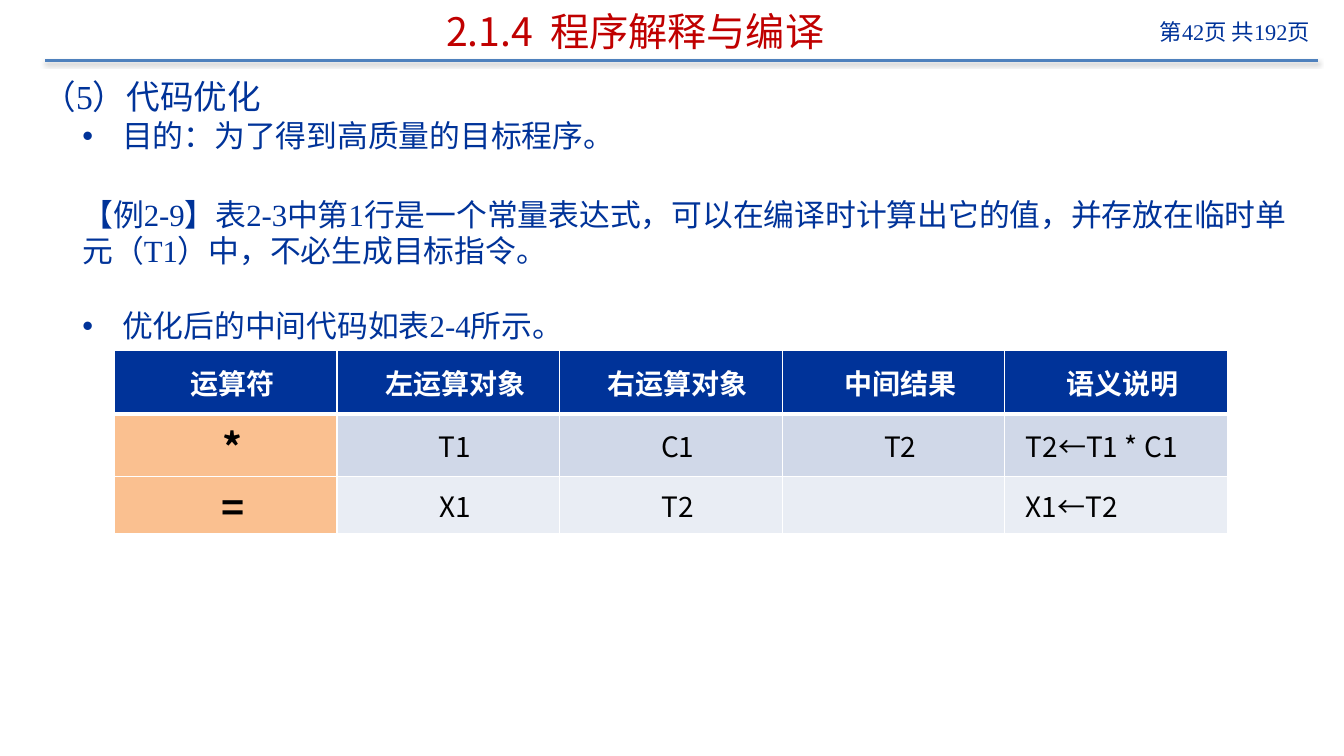
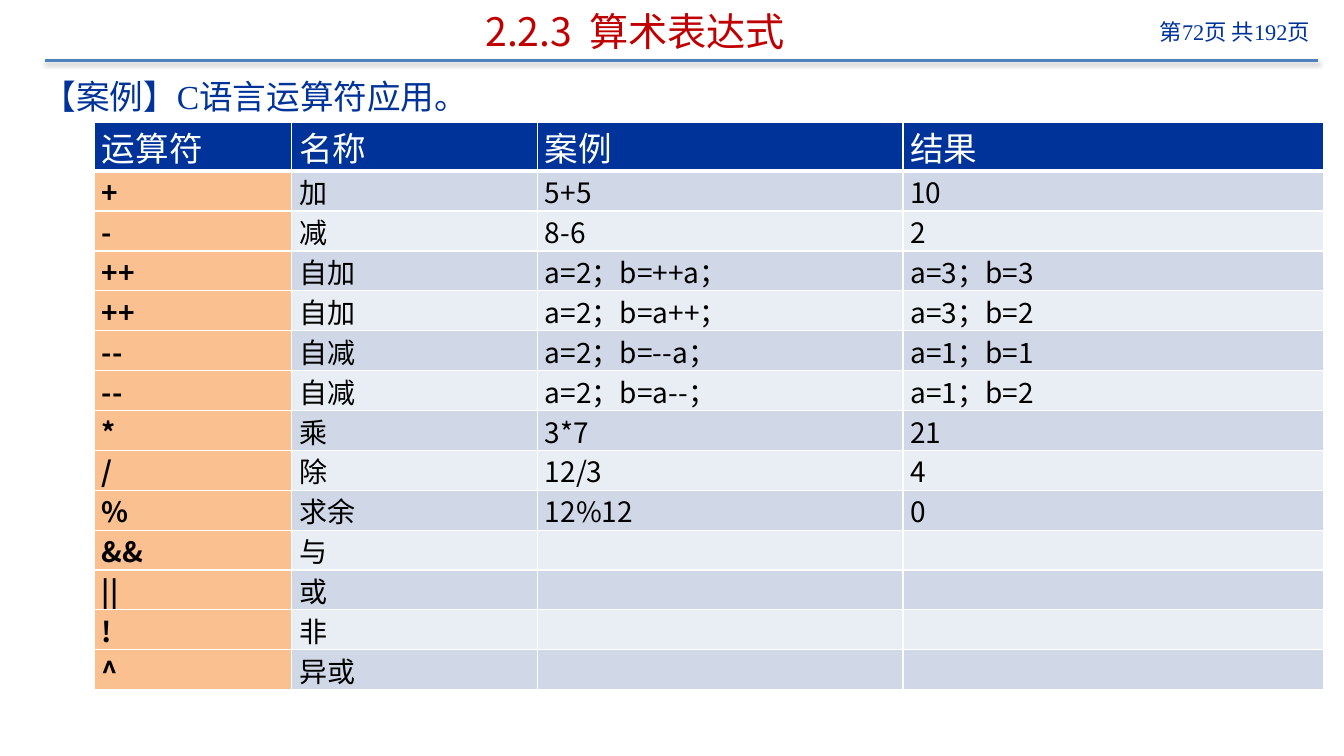
from dataclasses import dataclass

from lxml.etree import SubElement as Sub
from pptx import Presentation as Deck
from pptx.dml.color import RGBColor as Rgb
from pptx.enum.shapes import MSO_CONNECTOR as Link
from pptx.enum.text import MSO_ANCHOR as Anchor, MSO_AUTO_SIZE as Fit, PP_ALIGN as Align
from pptx.oxml.ns import qn
from pptx.util import Pt


@dataclass(frozen=True)
class Theme:
    blue: str = "003399"
    red: str = "C00000"
    rule: str = "4F81BD"
    white: str = "FFFFFF"
    black: str = "000000"
    key: str = "FAC090"
    odd: str = "D0D8E8"
    even: str = "E9EDF4"
    sans: str = "Noto Sans CJK SC"
    serif: str = "Times New Roman"
    title: int = 28
    lead: int = 24
    body: int = 22
    cell: int = 20
    page: int = 16


THEME = Theme()
SCALE = 9525
TOTAL = 192


def px(num):
    return num * SCALE


def tint(fill, hue):
    fill.solid()
    fill.fore_color.rgb = Rgb.from_string(hue)


def style(para, size, hue, face, bold=False):
    for run in para.runs:
        font = run.font
        font.size, font.bold, font.name = Pt(size), bold, face
        font.color.rgb = Rgb.from_string(hue)
        Sub(font._element, qn("a:ea"), typeface=THEME.sans)


def indent(para, left, first):
    props = para._p.get_or_add_pPr()
    props.set("marL", str(px(left)))
    props.set("indent", str(px(first)))
    return props


def add_text(slide, box):
    frame = slide.shapes.add_textbox(*map(px, box)).text_frame
    frame.word_wrap = True
    return frame


def add_title(slide, num, name):
    shape = slide.shapes.title
    shape.left, shape.top, shape.width, shape.height = map(px, (74, 2, 1062, 54))
    frame = shape.text_frame
    frame.auto_size, frame.vertical_anchor = Fit.NONE, Anchor.MIDDLE
    frame.text = num
    para = frame.paragraphs[0]
    para.alignment = Align.CENTER
    for part in (" ", name):
        para.add_run().text = part
    style(para, THEME.title, THEME.red, THEME.sans)
    para.runs[1].font._element.set("spc", "600")


def add_page(slide, num):
    frame = add_text(slide, (1040, 13, 217, 43))
    frame.text = f"第{num}页 共{TOTAL}页"
    para = frame.paragraphs[0]
    para.alignment = Align.RIGHT
    style(para, THEME.page, THEME.blue, THEME.serif)


def add_rule(slide):
    rule = slide.shapes.add_connector(Link.STRAIGHT, px(43), px(58), px(1255), px(58))
    rule.line.width = Pt(2)
    rule.line.color.rgb = Rgb.from_string(THEME.rule)
    glow = Sub(rule._element.spPr, qn("a:effectLst"))
    shade = Sub(glow, qn("a:outerShdw"), blurRad=str(Pt(3.1)), dist=str(Pt(1.6)),
                dir="5400000", rotWithShape="0")
    hue = Sub(shade, qn("a:srgbClr"), val=THEME.black)
    Sub(hue, qn("a:alpha"), val="38000")
    slide.slide_layout.shapes.element.append(rule._element)


def add_body(slide, lead, items=()):
    frame = add_text(slide, (31, 68, 1223, 630))
    frame.text = "\n".join([lead] + [text for text, _, _ in items])
    first, *rest = frame.paragraphs
    first.line_spacing = Pt(THEME.lead * 1.2)
    style(first, THEME.lead, THEME.blue, THEME.serif)
    for para, (_, dot, gap) in zip(rest, items):
        para.line_spacing = Pt(THEME.body * 1.2)
        para.space_before = Pt(gap)
        props = indent(para, 76 if dot else 38, -38 if dot else 0)
        if dot:
            Sub(props, qn("a:buFont"), typeface="Arial")
            Sub(props, qn("a:buChar"), char="•")
        style(para, THEME.body, THEME.blue, THEME.serif)


def add_edges(cell, head):
    props = cell._tc.get_or_add_tcPr()
    for side in "LRTB":
        wide = Pt(3 if head and side == "B" else 1)
        line = Sub(props, qn(f"a:ln{side}"), w=str(wide))
        Sub(Sub(line, qn("a:solidFill")), qn("a:srgbClr"), val=THEME.white)


def fill_cell(cell, text, row, col, look):
    head, key = row == 0, col == 0
    add_edges(cell, head)
    band = THEME.odd if row % 2 else THEME.even
    tint(cell.fill, THEME.blue if head else THEME.key if key else band)
    cell.margin_left = cell.margin_right = px(7)
    cell.margin_top = cell.margin_bottom = 0
    cell.vertical_anchor = Anchor.MIDDLE
    cell.text = text
    para = cell.text_frame.paragraphs[0]
    indent(para, 0, look["shift"])
    para.alignment = look["last"] if not head and col == look["end"] else look["align"]
    size = look["head"] if head else look["key"] if key else THEME.cell
    bold = look["bold"] if head else key
    style(para, size, THEME.white if head else THEME.black, THEME.sans, bold)


def add_grid(slide, left, top, wides, highs, rows, **look):
    look["end"] = len(wides) - 1
    box = map(px, (left, top, sum(wides), sum(highs)))
    table = slide.shapes.add_table(len(rows), len(wides), *box).table
    for col, wide in zip(table.columns, wides):
        col.width = px(wide)
    for row, high in zip(table.rows, highs):
        row.height = px(high)
    for i, texts in enumerate(rows):
        for j, text in enumerate(texts):
            fill_cell(table.cell(i, j), text, i, j, look)


def add_slide(deck, page, num, name):
    slide = deck.slides.add_slide(deck.slide_layouts[5])
    add_title(slide, num, name)
    add_page(slide, page)
    return slide


def main():
    deck = Deck()
    deck.slide_width, deck.slide_height = px(1280), px(720)

    slide = add_slide(deck, 42, "2.1.4", "程序解释与编译")
    add_rule(slide)
    add_body(slide, "（5）代码优化", [
        ("目的：为了得到高质量的目标程序。", True, 0.3),
        ("【例2-9】表2-3中第1行是一个常量表达式，可以在编译时计算出它的值，"
         "并存放在临时单元（T1）中，不必生成目标指令。", False, 29.4),
        ("优化后的中间代码如表2-4所示。", True, 27),
    ])
    add_grid(slide, 109, 334, [212] * 5, [60, 60, 54], [
        ("运算符", "左运算对象", "右运算对象", "中间结果", "语义说明"),
        ("*", "T1", "C1", "T2", "T2←T1 * C1"),
        ("=", "X1", "T2", "", "X1←T2"),
    ], head=THEME.cell, key=THEME.title, bold=True, shift=13,
        align=Align.CENTER, last=Align.JUSTIFY)

    slide = add_slide(deck, 72, "2.2.3", "算术表达式")
    add_body(slide, "【案例】C语言运算符应用。")
    rows = [
        ("运算符", "名称", "案例", "结果"),
        ("+", "加", "5+5", "10"),
        ("-", "减", "8-6", "2"),
        ("++", "自加", "a=2；b=++a；", "a=3；b=3"),
        ("++", "自加", "a=2；b=a++；", "a=3；b=2"),
        ("--", "自减", "a=2；b=--a；", "a=1；b=1"),
        ("--", "自减", "a=2；b=a--；", "a=1；b=2"),
        ("*", "乘", "3*7", "21"),
        ("/", "除", "12/3", "4"),
        ("%", "求余", "12%12", "0"),
        ("&&", "与", "", ""),
        ("||", "或", "", ""),
        ("!", "非", "", ""),
        ("^", "异或", "", ""),
    ]
    highs = [46] + [38] * (len(rows) - 1)
    add_grid(slide, 90, 117, [188, 234, 348, 401], highs, rows,
             head=THEME.lead, key=THEME.cell, bold=False, shift=0,
             align=Align.LEFT, last=Align.LEFT)

    deck.save("out.pptx")


if __name__ == "__main__":
    main()
